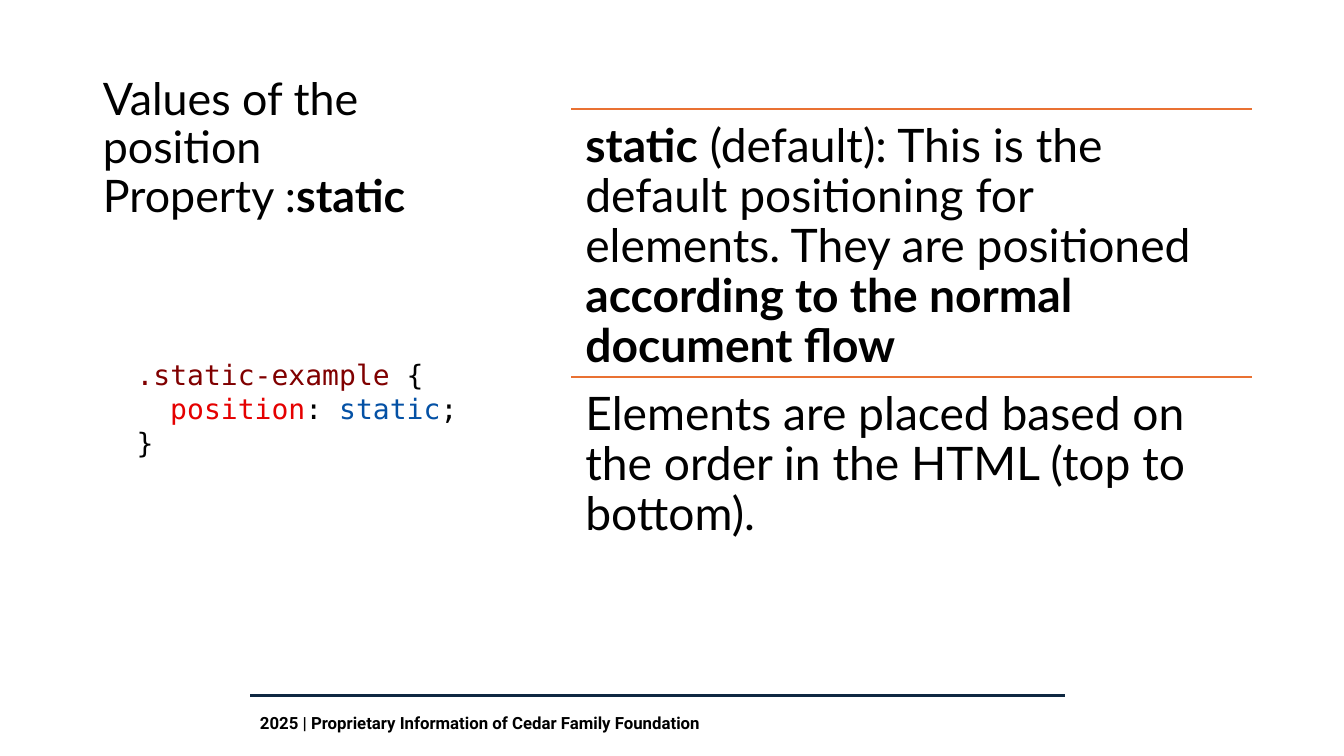
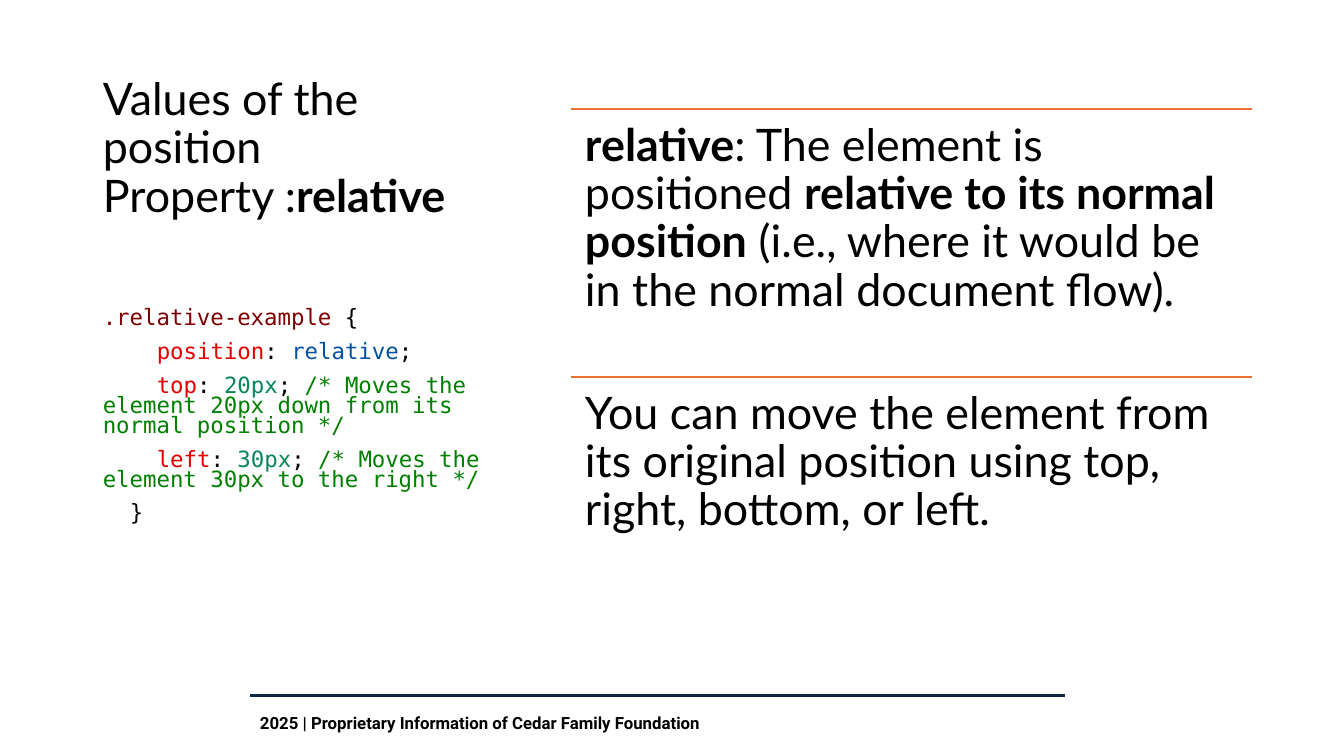
from dataclasses import dataclass

from lxml import etree
from pptx import Presentation
from pptx.dml import color
from pptx.enum import shapes, text
from pptx.oxml import ns
from pptx.util import Pt

BLACK, NAVY, ORANGE = "000000", "0E2841", "E97132"
SELECTOR, PROPERTY, KEYWORD = "800000", "E50000", "0451A5"
NUMBER, COMMENT = "098658", "008000"
SANS, MONO, FOOTER_FONT = "Lato", "DejaVu Sans Mono", "Roboto"
MONO_ADVANCE = 0.602
CODE_GAP = 10
LEFT, LEFT_WIDTH = 66.24, 309.6
RIGHT, RIGHT_WIDTH = 408.24, 486
RULE_TOP, RULE_PITCH = 77.76, 191.5
FOOTER_LEFT, FOOTER_WIDTH = 178.6, 582.5


@dataclass(frozen=True)
class Span:
    content: str
    colour: str = BLACK
    bold: bool = False


@dataclass(frozen=True)
class CodeLine:
    indent: int
    spans: tuple[Span, ...]


@dataclass(frozen=True)
class Topic:
    keyword: str
    code: tuple[CodeLine, ...]
    code_size: int
    notes: tuple[tuple[Span, ...], ...]
    note_size: int


def declaration(name: str, setting: Span, comment: str = "") -> CodeLine:
    spans = (Span(name, PROPERTY), Span(": "), setting)
    ending = (Span("; "), Span(comment, COMMENT)) if comment else (Span(";"),)
    return CodeLine(4, spans + ending)


def rule_set(selector: str, *declarations: CodeLine) -> tuple[CodeLine, ...]:
    opening = (Span(selector, SELECTOR), Span(" {"))
    indent = 2 if len(declarations) == 1 else 0
    return (CodeLine(indent, opening), *declarations, CodeLine(2, (Span("}"),)))


TOPICS = (
    Topic(
        "static",
        rule_set(".static-example", declaration("position", Span("static", KEYWORD))),
        20,
        (
            (
                Span("static", bold=True),
                Span(" (default): This is the default positioning for elements. "
                     "They are positioned "),
                Span("according to the normal document flow", bold=True),
            ),
            (Span("Elements are placed based on the order in the HTML (top to bottom)."),),
        ),
        33,
    ),
    Topic(
        "relative",
        rule_set(
            ".relative-example",
            declaration("position", Span("relative", KEYWORD)),
            declaration("top", Span("20px", NUMBER),
                        "/* Moves the element 20px down from its normal position */"),
            declaration("left", Span("30px", NUMBER),
                        "/* Moves the element 30px to the right */"),
        ),
        16,
        (
            (
                Span("relative", bold=True),
                Span(": The element is positioned "),
                Span("relative to its normal position", bold=True),
                Span(" (i.e., where it would be in the normal document flow)."),
            ),
            (Span("You can move the element from its original position using top, "
                  "right, bottom, or left."),),
        ),
        32,
    ),
)


def rgb(value: str) -> color.RGBColor:
    return color.RGBColor.from_string(value)


def write(para, content: str, *, size: float, font: str = SANS,
          colour: str = BLACK, bold: bool = False) -> None:
    span = para.add_run()
    span.text = content
    span.font.size = Pt(size)
    span.font.name = font
    span.font.bold = bold
    span.font.color.rgb = rgb(colour)


def write_spans(para, spans: tuple[Span, ...], *, size: float, font: str = SANS) -> None:
    for span in spans:
        write(para, span.content, size=size, font=font, colour=span.colour, bold=span.bold)


def place(box, left: float, top: float, width: float, height: float) -> None:
    box.left, box.top, box.width, box.height = map(Pt, (left, top, width, height))


def prepare(frame, anchor, inset: float | None = None) -> None:
    frame.word_wrap = True
    frame.auto_size = text.MSO_AUTO_SIZE.NONE
    frame.vertical_anchor = anchor
    if inset is not None:
        frame.margin_left = frame.margin_right = Pt(inset)
        frame.margin_top = frame.margin_bottom = Pt(inset)


def add_text_box(page, left: float, top: float, width: float, height: float, inset: float):
    box = page.shapes.add_textbox(*map(Pt, (left, top, width, height)))
    prepare(box.text_frame, text.MSO_ANCHOR.TOP, inset)
    return box


def add_rule(page, left: float, top: float, width: float, colour: str):
    rule = page.shapes.add_connector(
        shapes.MSO_CONNECTOR.STRAIGHT, Pt(left), Pt(top), Pt(left + width), Pt(top))
    rule.line.color.rgb = rgb(colour)
    rule.line.width = Pt(1.5)
    etree.SubElement(rule.element.spPr, ns.qn("a:effectLst"))
    return rule


def add_footer(page, layout) -> None:
    box = add_text_box(page, FOOTER_LEFT, 501.8, FOOTER_WIDTH, 31, 7.2)
    write(box.text_frame.paragraphs[0],
          "2025 | Proprietary Information of Cedar Family Foundation",
          size=12, font=FOOTER_FONT, bold=True)
    rule = add_rule(page, FOOTER_LEFT, 496.8, FOOTER_WIDTH, NAVY)
    for number, shape in enumerate((box, rule), start=100):
        shape.element.xpath(".//p:cNvPr")[0].set("id", str(number))
        layout.shapes.element.append(shape.element)


def add_title(page, keyword: str) -> None:
    title = page.shapes.title
    place(title, LEFT, 36, LEFT_WIDTH, 126)
    prepare(title.text_frame, text.MSO_ANCHOR.BOTTOM)
    para = title.text_frame.paragraphs[0]
    para.alignment = text.PP_ALIGN.LEFT
    para.line_spacing = 0.9
    write(para, "Values of the position", size=32)
    para.add_line_break()
    write(para, "Property :", size=32)
    write(para, keyword, size=32, bold=True)


def add_code(page, lines: tuple[CodeLine, ...], size: int) -> None:
    body = page.placeholders[1]
    place(body, LEFT, 162, LEFT_WIDTH, 300.2)
    frame = body.text_frame
    prepare(frame, text.MSO_ANCHOR.MIDDLE)
    frame.margin_bottom = Pt(3.6 + CODE_GAP + 1.08 * size)
    for index, line in enumerate(lines):
        para = frame.add_paragraph() if index else frame.paragraphs[0]
        para.alignment = text.PP_ALIGN.LEFT
        para.line_spacing = Pt(14.2)
        para.space_before = Pt(CODE_GAP)
        write_spans(para, line.spans, size=size, font=MONO)
        properties = para._p.get_or_add_pPr()
        properties.set("marL", "0")
        properties.set("indent", str(int(Pt(line.indent * size * MONO_ADVANCE))))
        etree.SubElement(properties, ns.qn("a:buNone"))


def add_notes_column(page, notes: tuple[tuple[Span, ...], ...], size: int) -> None:
    for index, spans in enumerate(notes):
        top = RULE_TOP + index * RULE_PITCH
        add_rule(page, RIGHT, top, RIGHT_WIDTH, ORANGE)
        box = add_text_box(page, RIGHT, top, RIGHT_WIDTH, RULE_PITCH, 0.3 * size)
        para = box.text_frame.paragraphs[0]
        para.line_spacing = 0.9
        write_spans(para, spans, size=size)


def main() -> None:
    deck = Presentation()
    deck.slide_width, deck.slide_height = Pt(960), Pt(540)
    layout = deck.slide_layouts[1]
    for index, topic in enumerate(TOPICS):
        page = deck.slides.add_slide(layout)
        if index == 0:
            add_footer(page, layout)
        add_title(page, topic.keyword)
        add_code(page, topic.code, topic.code_size)
        add_notes_column(page, topic.notes, topic.note_size)
    deck.save("out.pptx")


if __name__ == "__main__":
    main()
